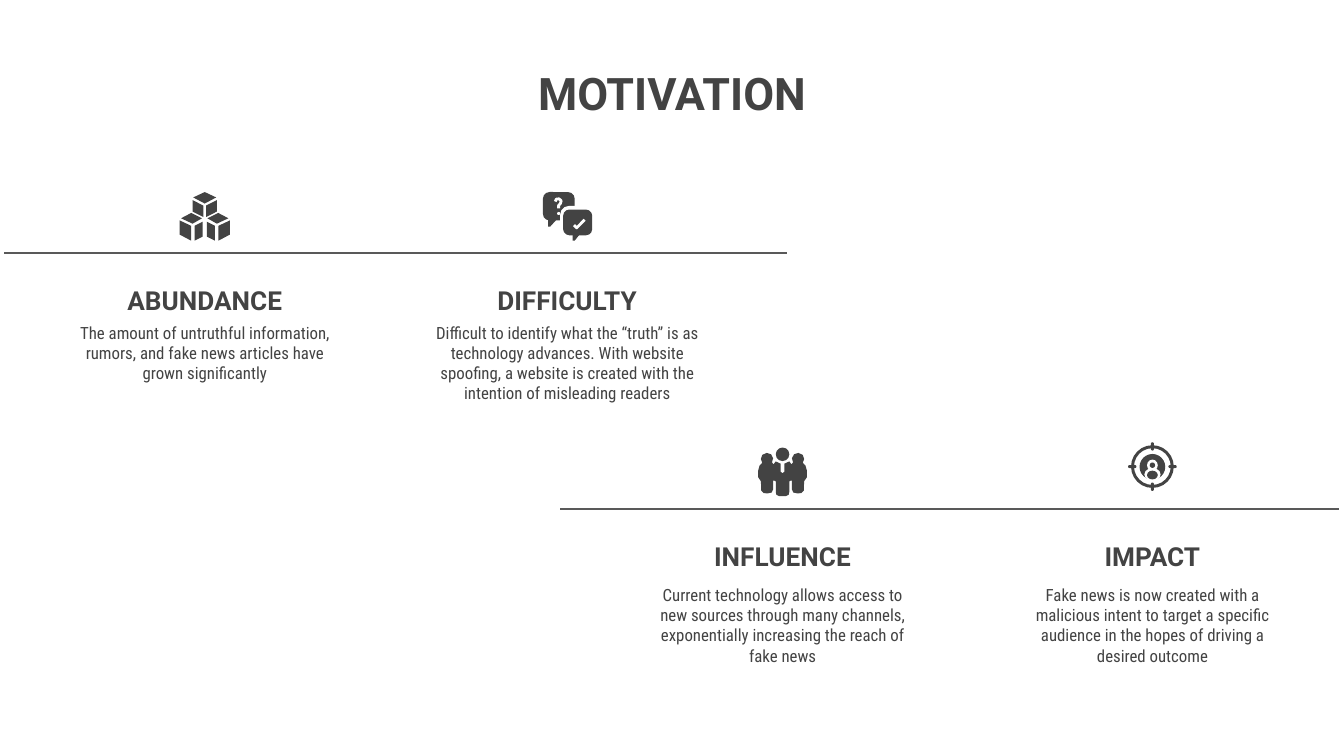
from lxml import etree
from pptx import Presentation
from pptx.dml.color import RGBColor
from pptx.enum.shapes import MSO_CONNECTOR, MSO_SHAPE
from pptx.enum.text import MSO_ANCHOR, MSO_AUTO_SIZE, PP_ALIGN
from pptx.oxml.ns import qn
from pptx.util import Cm, Pt

CENTER = PP_ALIGN.CENTER
TOP, BOTTOM = MSO_ANCHOR.TOP, MSO_ANCHOR.BOTTOM
NO_FIT = MSO_AUTO_SIZE.NONE
STRAIGHT = MSO_CONNECTOR.STRAIGHT
OVAL, ROUNDED, DONUT = MSO_SHAPE.OVAL, MSO_SHAPE.ROUNDED_RECTANGLE, MSO_SHAPE.DONUT
DARK, RULE, WHITE = "434343", "595959", "FFFFFF"

TITLE = "MOTIVATION"
MOTIVES = [
    ("ABUNDANCE", "The amount of untruthful information, rumors, and fake news "
     "articles have grown significantly"),
    ("DIFFICULTY", "Difficult to identify what the “truth” is as technology advances. "
     "With website spoofing, a website is created with the intention of misleading readers"),
    ("INFLUENCE", "Current technology allows access to new sources through many channels, "
     "exponentially increasing the reach of fake news"),
    ("IMPACT", "Fake news is now created with a malicious intent to target a specific "
     "audience in the hopes of driving a desired outcome"),
]
ROWS = [
    {"rule": (0.08, 14.88, 4.78), "heading": 5.03, "body": 5.84},
    {"rule": (10.59, 25.3, 9.62), "heading": 9.86, "body": 10.8},
]
CENTERS = [3.87, 10.72, 14.79, 21.78]
ICON_TOPS = [3.63, 3.63, 8.46, 8.36]
ICON_SIZE, ICON_GRID = 0.92, 36

TITLE_FONT = {"name": "Roboto", "size": Pt(24), "bold": True}
HEADING_FONT = {"name": "Roboto", "size": Pt(14), "bold": True}
BODY_FONT = {"name": "Roboto Condensed", "size": Pt(9), "bold": False}


def mirrored(points):
    """Reflect points across the middle of the icon grid."""
    return [(ICON_GRID - x, y) for x, y in points]


CUBE_FACES = [
    [(9, 6), (9, 14.5), (17, 18.5), (17, 10)],
    [(8, 15.5), (0.5, 19.5), (9, 23.5), (16, 19.5)],
    [(-0.5, 21), (-0.5, 31.5), (8, 36), (8, 25)],
    [(10.5, 25), (10.5, 36), (16.5, 33), (16.5, 22)],
]
CUBE_LID = [(18, 0), (9.5, 4), (18, 8.5), (26.5, 4)]
CROWD_HALF = [
    (18, 36), (15.5, 36), (13.5, 35), (13, 33), (13, 25), (11.5, 24.3), (11, 25),
    (11, 31), (10, 33.3), (7, 34), (4, 33.7), (2.3, 32), (2, 25), (0, 22), (0, 17),
    (1, 13.5), (3, 11.3), (2, 8.5), (3, 5.5), (6.3, 4), (9.5, 5), (11, 8),
    (10.2, 11), (11.3, 12.5), (13, 10.3), (16.7, 12), (16.7, 18), (18, 19),
]
QUESTION = [(9.2, 7), (10, 5.2), (12, 5), (13.6, 6.5), (13, 8.5), (11.7, 10), (11.7, 12)]
CHECK = [(23, 24.5), (25, 26.5), (31, 20.5)]

CUBES = [("area", DARK, face) for face in
         [CUBE_LID] + CUBE_FACES + [mirrored(face) for face in CUBE_FACES]]
BUBBLES = [
    (ROUNDED, DARK, (0, 0, 23.5, 21), 0.24),
    ("area", DARK, [(4, 20), (4, 25.5), (5.5, 25.5), (10.5, 20)]),
    ("stroke", WHITE, QUESTION),
    (OVAL, WHITE, (10.5, 14.8, 2.4, 2.2)),
    (ROUNDED, WHITE, (12.8, 10.3, 22, 22), 0.3),
    (ROUNDED, DARK, (15, 13, 21.5, 19), 0.24),
    ("area", DARK, [(22, 31), (22, 36), (23.5, 36), (27.5, 31)]),
    ("stroke", WHITE, CHECK),
]
CROWD = [
    ("area", DARK, CROWD_HALF + mirrored(CROWD_HALF[::-1])),
    (OVAL, DARK, (13, 0, 10, 10)),
]
TARGET = [
    (DONUT, DARK, (2.2, 2.2, 31.6, 31.6), 0.07),
    *[(ROUNDED, DARK, (16.9, y, 2.2, 6.2), 0.5) for y in (0, 29.8)],
    *[(ROUNDED, DARK, (x, 16.9, 6.2, 2.2), 0.5) for x in (0, 29.8)],
    (OVAL, DARK, (8.5, 8.7, 19, 19)),
    (OVAL, WHITE, (12, 19, 12, 9.5)),
    (OVAL, WHITE, (14, 12.8, 8, 8.4)),
    (OVAL, DARK, (16, 15, 4, 4)),
    (OVAL, DARK, (14, 21, 8, 6.5)),
]
ICONS = [CUBES, BUBBLES, CROWD, TARGET]


def paint(color_format, hex_color):
    """Set a colour from a hex string."""
    color_format.rgb = RGBColor.from_string(hex_color)


def set_all(target, values):
    """Set every attribute listed in a dict."""
    for name, value in values.items():
        setattr(target, name, value)


def write(box, text, place, font, anchor=TOP):
    """Place a box and fill it with one centred paragraph."""
    set_all(box, dict(zip(("left", "top", "width", "height"), map(Cm, place))))
    frame = box.text_frame
    margins = {f"margin_{side}": Cm(0.25) for side in ("left", "right", "top", "bottom")}
    set_all(frame, {"word_wrap": True, "auto_size": NO_FIT,
                    "vertical_anchor": anchor, **margins})
    frame.text = text
    paragraph = frame.paragraphs[0]
    properties = paragraph._p.get_or_add_pPr()
    set_all(paragraph, {"alignment": CENTER, "space_before": Pt(0)})
    properties.set("marL", "0")
    properties.set("indent", "0")
    etree.SubElement(properties, qn("a:buNone"))
    run_font = paragraph.runs[0].font
    set_all(run_font, font)
    paint(run_font.color, DARK)


def draw_rule(slide, start, end, y):
    """Draw a thin horizontal rule."""
    rule = slide.shapes.add_connector(STRAIGHT, Cm(start), Cm(y), Cm(end), Cm(y))
    rule.line.width = Pt(0.75)
    paint(rule.line.color, RULE)
    etree.SubElement(rule._element.spPr, qn("a:effectLst"))


def draw_icon(slide, parts, center, top):
    """Draw the parts of one icon as a group."""
    group = slide.shapes.add_group_shape().shapes
    unit = ICON_SIZE / ICON_GRID
    left = center - ICON_SIZE / 2
    for kind, color, geometry, *adjustment in parts:
        if kind in ("area", "stroke"):
            points = [(Cm(left + x * unit), Cm(top + y * unit)) for x, y in geometry]
            builder = group.build_freeform(*points[0])
            builder.add_line_segments(points[1:], close=kind == "area")
            part = builder.convert_to_shape()
        else:
            x, y, width, height = geometry
            part = group.add_shape(kind, Cm(left + x * unit), Cm(top + y * unit),
                                   Cm(width * unit), Cm(height * unit))
            if adjustment:
                part.adjustments[0] = adjustment[0]
        part.shadow.inherit = False
        if kind == "stroke":
            part.fill.background()
            part.line.width = Pt(1.5)
            paint(part.line.color, color)
        else:
            part.fill.solid()
            paint(part.fill.fore_color, color)
            part.line.fill.background()


def main():
    """Build the motivation slide."""
    deck = Presentation()
    set_all(deck, {"slide_width": Cm(25.4), "slide_height": Cm(14.29)})
    slide = deck.slides.add_slide(deck.slide_layouts.get_by_name("Comparison"))
    title, *bodies = list(slide.placeholders)[:5]
    write(title, TITLE, (5.46, 0.99, 14.48, 1.55), TITLE_FONT)
    for row in ROWS:
        draw_rule(slide, *row["rule"])
    for index, (heading, description) in enumerate(MOTIVES):
        row, center = ROWS[index // 2], CENTERS[index]
        heading_box = slide.shapes.add_textbox(0, 0, 0, 0)
        write(heading_box, heading, (center - 2.48, row["heading"], 4.96, 1.19),
              HEADING_FONT, BOTTOM)
        write(bodies[index], description, (center - 2.8, row["body"], 5.6, 2.79), BODY_FONT)
        draw_icon(slide, ICONS[index], center, ICON_TOPS[index])
    deck.save("out.pptx")


if __name__ == "__main__":
    main()
